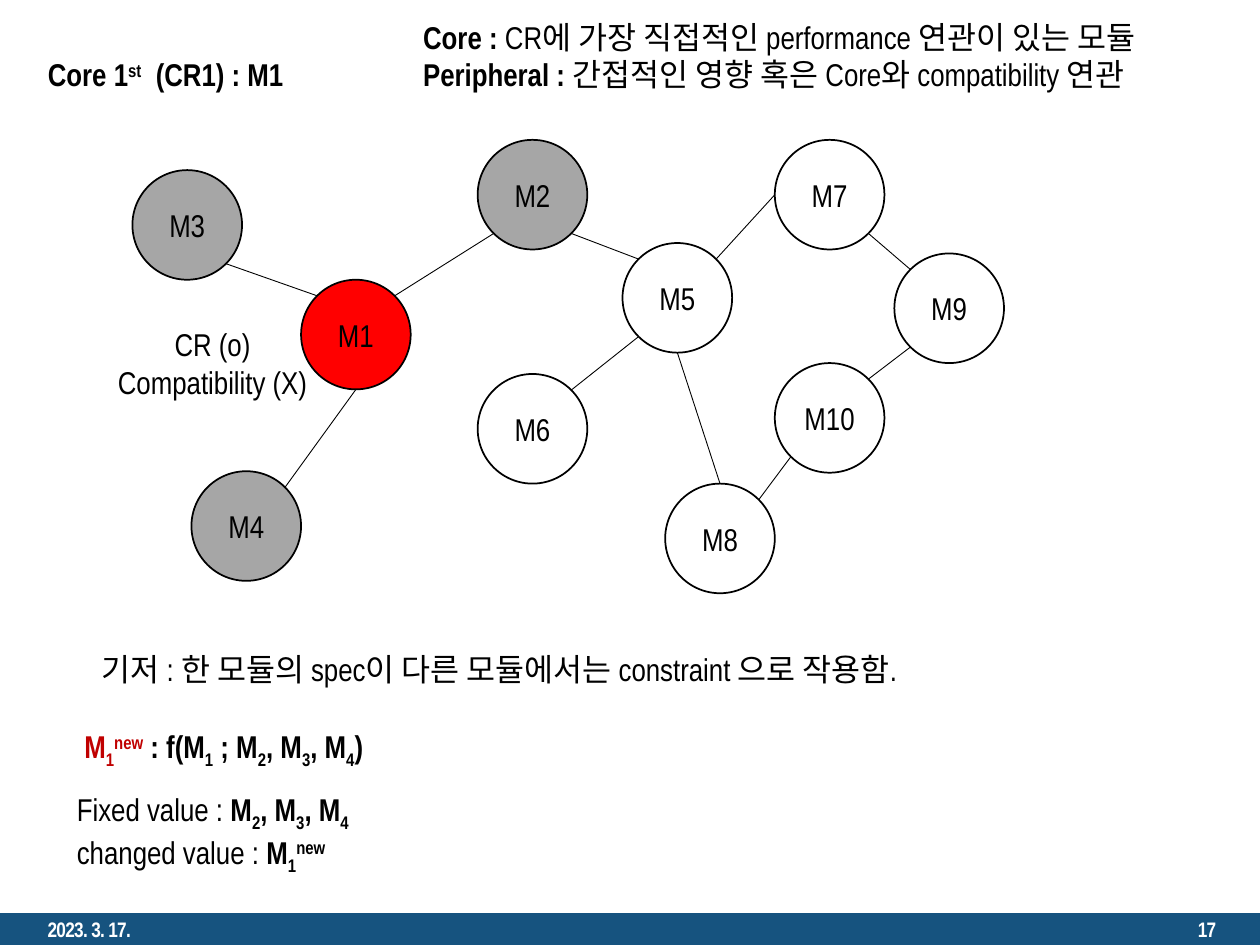
from dataclasses import dataclass
from math import cos, radians, sin

from lxml import etree
from pptx import Presentation
from pptx.dml.color import RGBColor
from pptx.enum import shapes, text
from pptx.oxml import ns
from pptx import util as u


@dataclass(frozen=True)
class Theme:
    font: str = "Arial Narrow"
    ink: str = "000000"
    paper: str = "FFFFFF"
    bar: str = "16537F"
    core: str = "FF0000"
    near: str = "A6A6A6"
    new: str = "C00000"
    body: int = 18
    foot: int = 12


THEME = Theme()
SIZE = 2.21  # circle diameter, cm
SHIFT = {"_": "-25000", "^": "30000"}
SITES = {"E": 0, "SE": 45, "S": 90, "SW": 135,
         "W": 180, "NW": 225, "N": 270, "NE": 315}

NODES = {
    "M1": (6.07, 5.64, THEME.core),
    "M2": (9.63, 2.82, THEME.near),
    "M3": (2.67, 3.43, THEME.near),
    "M4": (3.86, 9.5, THEME.near),
    "M5": (12.55, 4.9, None),
    "M6": (9.63, 7.54, None),
    "M7": (15.62, 2.82, None),
    "M8": (13.41, 9.75, None),
    "M9": (18.03, 5.11, None),
    "M10": (15.62, 7.32, None),
}

LINKS = [
    ("M1", "S", "M4", "NE"),
    ("M3", "SE", "M1", "NW"),
    ("M2", "SW", "M1", "NE"),
    ("M2", "SE", "M5", "NW"),
    ("M5", "S", "M8", "N"),
    ("M5", "SW", "M6", "NE"),
    ("M8", "NE", "M10", "SW"),
    ("M10", "NE", "M9", "SW"),
    ("M7", "SE", "M9", "NW"),
    ("M5", "NE", "M7", "W"),
]


def write(para, words, bold=False, color=THEME.ink, size=THEME.body, space=None):
    """Add runs split at "|"; a part led by "_" is lowered, by "^" raised."""
    for part in words.split("|"):
        shift = SHIFT.get(part[:1])
        run = para.add_run()
        run.text = part[1:] if shift else part
        run.font.name = THEME.font
        run.font.size = u.Pt(size)
        run.font.bold = bold
        run.font.color.rgb = RGBColor.from_string(color)
        props = run._r.get_or_add_rPr()
        if shift:
            props.set("baseline", shift)
        if space:
            props.set("spc", str(space))


def site(name, side):
    """Give the point, in cm, at a compass side of a circle."""
    left, top, _ = NODES[name]
    angle = radians(SITES[side])
    half = SIZE / 2
    return left + half * (1 + cos(angle)), top + half * (1 + sin(angle))


class Board:
    def __init__(self, deck, theme):
        self.theme = theme
        self.slide = deck.slides.add_slide(deck.slide_layouts[5])
        self.shapes = self.slide.shapes

    def fill(self, frame, lines, align, anchor):
        """Put lines in a frame; each line is a list of (words, format)."""
        frame.word_wrap = True
        frame.auto_size = text.MSO_AUTO_SIZE.NONE
        frame.vertical_anchor = anchor
        for i, line in enumerate(lines):
            para = frame.add_paragraph() if i else frame.paragraphs[0]
            para.alignment = align
            for words, form in line:
                write(para, words, **form)

    def title(self, box, line):
        head = self.shapes.title
        head.left, head.top, head.width, head.height = map(u.Cm, box)
        self.fill(head.text_frame, [line], text.PP_ALIGN.LEFT,
                  text.MSO_ANCHOR.TOP)

    def note(self, box, lines, align=text.PP_ALIGN.LEFT,
             anchor=text.MSO_ANCHOR.TOP):
        area = self.shapes.add_textbox(*map(u.Cm, box))
        self.fill(area.text_frame, lines, align, anchor)

    def shape(self, kind, box, fill, line=None):
        item = self.shapes.add_shape(kind, *map(u.Cm, box))
        item.shadow.inherit = False
        if fill:
            item.fill.solid()
            item.fill.fore_color.rgb = RGBColor.from_string(fill)
        else:
            item.fill.background()
        if line:
            item.line.color.rgb = RGBColor.from_string(line)
            item.line.width = u.Pt(1)
        else:
            item.line.fill.background()
        return item

    def node(self, name):
        left, top, fill = NODES[name]
        disc = self.shape(shapes.MSO_SHAPE.OVAL, (left, top, SIZE, SIZE),
                          fill, self.theme.ink)
        self.fill(disc.text_frame, [[(name, {})]], text.PP_ALIGN.CENTER,
                  text.MSO_ANCHOR.MIDDLE)
        disc.text_frame.word_wrap = False

    def link(self, start, end):
        line = self.shapes.add_connector(shapes.MSO_CONNECTOR.STRAIGHT,
                                         *map(u.Cm, start + end))
        line.line.color.rgb = RGBColor.from_string(self.theme.ink)
        line.line.width = u.Pt(0.5)
        etree.SubElement(line._element.spPr, ns.qn("a:effectLst"))

    def footer(self, date, number):
        top, high = 18.41, 0.64
        self.shape(shapes.MSO_SHAPE.RECTANGLE, (0, top, 25.4, high),
                   self.theme.bar)
        form = dict(bold=True, color=self.theme.paper,
                    size=self.theme.foot, space=-40)
        for left, words, align in ((0.71, date, text.PP_ALIGN.LEFT),
                                   (19.05, number, text.PP_ALIGN.RIGHT)):
            self.note((left, top, 5.72, high), [[(words, form)]], align,
                      text.MSO_ANCHOR.MIDDLE)


def main():
    deck = Presentation()
    deck.slide_width, deck.slide_height = u.Cm(25.4), u.Cm(19.05)
    board = Board(deck, THEME)
    bold = dict(bold=True)

    board.footer("2023. 3. 17.", "17")
    for name in NODES:
        board.node(name)
    for head, out, tail, into in LINKS:
        board.link(site(head, out), site(tail, into))

    board.title((0.71, 0.99, 7.06, 1.02), [("Core 1|^st|  (CR1) : M1", bold)])
    board.note((8.28, 0.23, 16.03, 1.8), [
        [("Core : ", bold),
         ("CR에 가장 직접적인 performance 연관이 있는 모듈", {})],
        [("Peripheral : ", bold),
         ("간접적인 영향 혹은 Core와 compatibility 연관", {})],
    ])
    board.note((1.68, 6.43, 5.21, 1.8),
               [[("CR (o)", {})], [("Compatibility (X)", {})]],
               text.PP_ALIGN.CENTER)
    board.note((1.8, 12.98, 22.99, 1.02), [
        [("기저 : 한 모듈의 spec이 다른 모듈에서는 constraint 으로 작용함.", {})],
    ])
    board.note((1.45, 14.53, 7.06, 1.02), [
        [("M|_1|^new", dict(bold=True, color=THEME.new)),
         (" : f(M|_1| ; M|_2|, M|_3|, M|_4|)", bold)],
    ])
    board.note((1.3, 15.8, 7.06, 1.8), [
        [("Fixed value : ", {}), ("M|_2|, M|_3|, M|_4", bold)],
        [("changed value : ", {}), ("M|_1|^new", bold)],
    ])
    deck.save("out.pptx")


if __name__ == "__main__":
    main()
